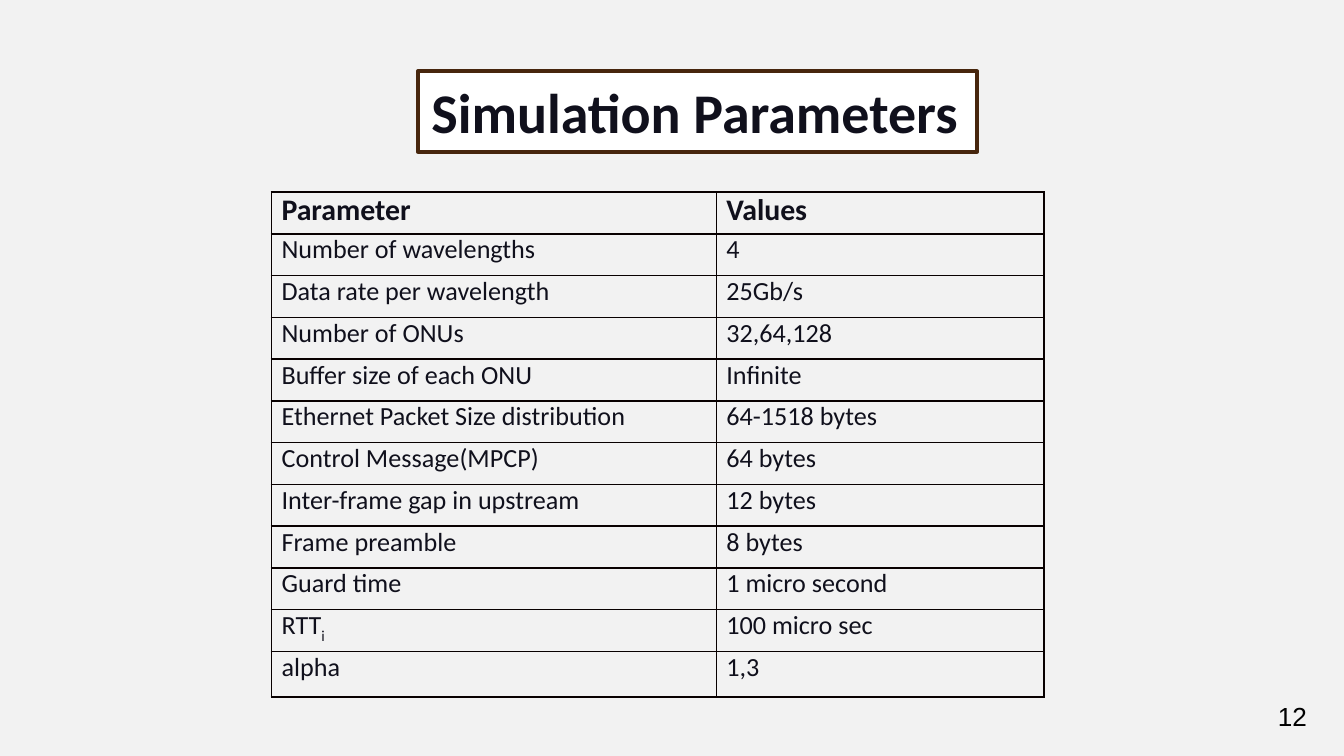
import pptx
import pptx.util
import pptx.dml.color
import pptx.enum.text
import lxml.etree
from pptx.oxml.ns import qn

COLORS = {"background": "F2F2F2", "text": "10101C", "border": "080000",
          "title_fill": "FFFFFF", "title_line": "47260D", "number": "000000"}
PARAMETERS = [
    ("Parameter", "Values"),
    ("Number of wavelengths", "4"),
    ("Data rate per wavelength", "25Gb/s"),
    ("Number of ONUs", "32,64,128"),
    ("Buffer size of each ONU", "Infinite"),
    ("Ethernet Packet Size distribution", "64-1518 bytes"),
    ("Control Message(MPCP)", "64 bytes"),
    ("Inter-frame gap in upstream", "12 bytes"),
    ("Frame preamble", "8 bytes"),
    ("Guard time", "1 micro second"),
    ("RTT", "100 micro sec"),
    ("alpha", "1,3"),
]
COLUMN_WIDTHS = (3.31, 2.44)
TABLE_HEIGHT, LAST_ROW_HEIGHT = 3.76, 0.34
ROW_HEIGHT = (TABLE_HEIGHT - LAST_ROW_HEIGHT) / (len(PARAMETERS) - 1)
Inches = pptx.util.Inches


def color(name):
    return pptx.dml.color.RGBColor.from_string(COLORS[name])


def style(paragraph, size, font_name, color_name, bold=False):
    paragraph.alignment = pptx.enum.text.PP_ALIGN.LEFT
    paragraph.font.size = pptx.util.Pt(size)
    paragraph.font.name = font_name
    paragraph.font.bold = bold
    paragraph.font.color.rgb = color(color_name)


# Widescreen slide and background
presentation = pptx.Presentation()
presentation.slide_width = Inches(10)
presentation.slide_height = Inches(10 * 9 / 16)
slide = presentation.slides.add_slide(presentation.slide_layouts[5])
slide.background.fill.solid()
slide.background.fill.fore_color.rgb = color("background")

# Parameter table
table = slide.shapes.add_table(
    len(PARAMETERS), len(COLUMN_WIDTHS), Inches(2.02), Inches(1.43),
    Inches(sum(COLUMN_WIDTHS)), Inches(TABLE_HEIGHT)).table
table.horz_banding = False
for column, width in zip(table.columns, COLUMN_WIDTHS):
    column.width = Inches(width)
for row in table.rows:
    row.height = Inches(ROW_HEIGHT)
table.rows[len(PARAMETERS) - 1].height = Inches(LAST_ROW_HEIGHT)

for row_index, texts in enumerate(PARAMETERS):
    is_header = row_index == 0
    for column_index, text in enumerate(texts):
        cell = table.cell(row_index, column_index)
        cell.margin_left = cell.margin_right = pptx.util.Pt(5.4)
        cell.margin_top = cell.margin_bottom = 0
        paragraph = cell.text_frame.paragraphs[0]
        style(paragraph, 16 if is_header else 14, "Calibri", "text", is_header)
        paragraph.add_run().text = text
        if text == "RTT":
            subscript = paragraph.add_run()
            subscript.text = "i"
            subscript._r.get_or_add_rPr().set("baseline", "-25000")

        # Borders come before the fill in the cell properties
        properties = cell._tc.get_or_add_tcPr()
        for side in ("a:lnL", "a:lnR", "a:lnT", "a:lnB"):
            border = lxml.etree.SubElement(properties, qn(side), w=str(pptx.util.Pt(1)))
            border_fill = lxml.etree.SubElement(border, qn("a:solidFill"))
            lxml.etree.SubElement(border_fill, qn("a:srgbClr"), val=COLORS["border"])
        cell.fill.background()

# Title box
title = slide.shapes.title
title.left, title.top = Inches(3.11), Inches(0.53)
title.width, title.height = Inches(4.16), Inches(0.6)
title.fill.solid()
title.fill.fore_color.rgb = color("title_fill")
title.line.color.rgb = color("title_line")
title.line.width = pptx.util.Pt(2)
title.text_frame.text = "Simulation Parameters"
title.text_frame.word_wrap = False
title.text_frame.auto_size = pptx.enum.text.MSO_AUTO_SIZE.NONE
title.text_frame.vertical_anchor = pptx.enum.text.MSO_ANCHOR.MIDDLE
style(title.text_frame.paragraphs[0], 30, "Calibri", "text", True)

# Slide number
number = slide.shapes.add_textbox(Inches(9.41), Inches(5.16), Inches(0.42), Inches(0.34))
number.text_frame.text = "12"
number.text_frame.word_wrap = False
number.text_frame.auto_size = pptx.enum.text.MSO_AUTO_SIZE.SHAPE_TO_FIT_TEXT
style(number.text_frame.paragraphs[0], 14, "Arial", "number")

presentation.save("out.pptx")
